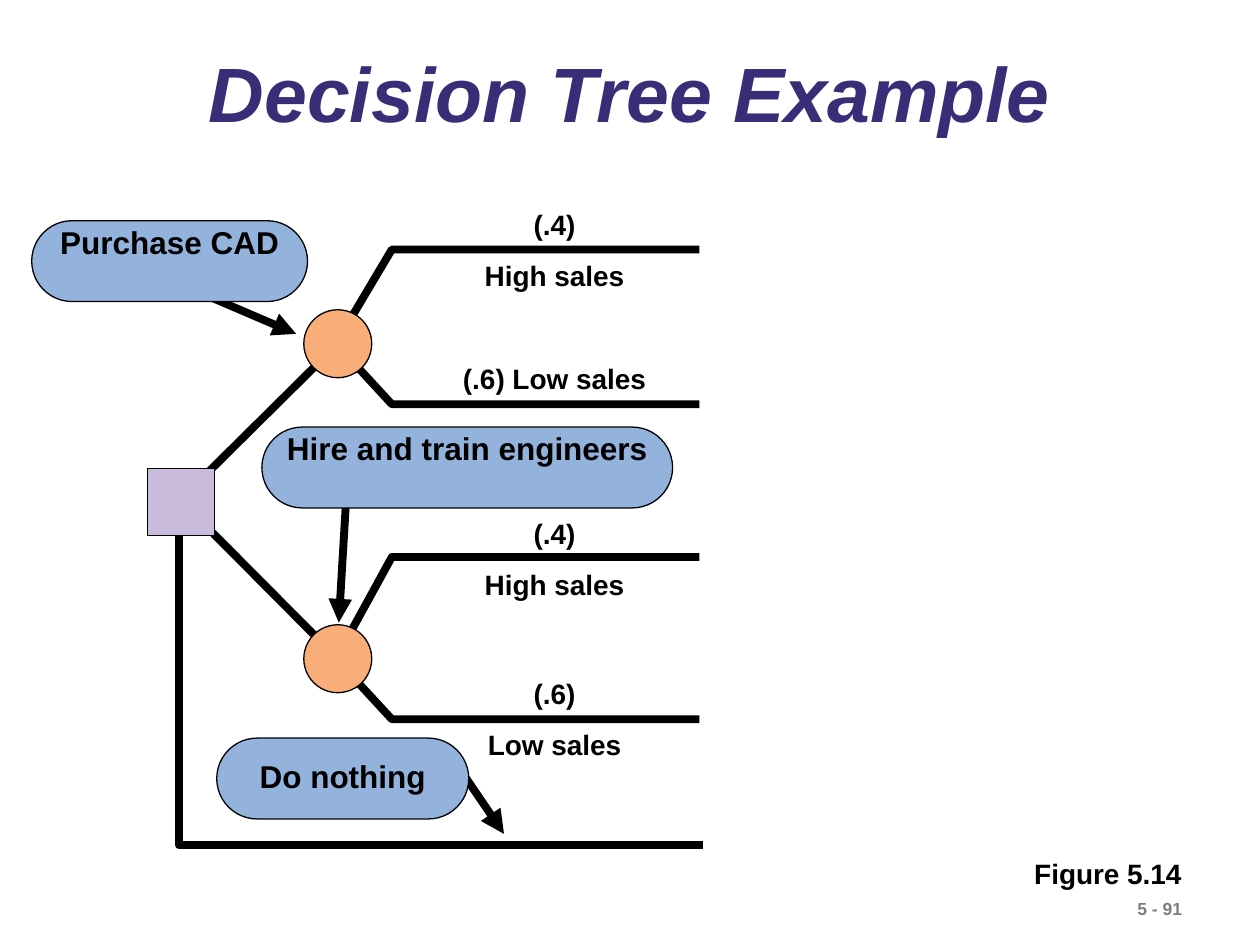
"""Build the decision tree example slide."""
from dataclasses import dataclass

import lxml.etree
import pptx
import pptx.dml.color
import pptx.enum.shapes
import pptx.enum.text
import pptx.oxml.ns
import pptx.util

Cm = pptx.util.Cm
Pt = pptx.util.Pt
Align = pptx.enum.text.PP_ALIGN
Anchor = pptx.enum.text.MSO_ANCHOR
Preset = pptx.enum.shapes.MSO_SHAPE
Point = tuple[float, float]


@dataclass(frozen=True)
class Theme:
    font: str = "Arial"
    black: str = "000000"
    title: str = "3A2C76"
    muted: str = "7F7F7F"
    chance: str = "F9AD78"
    decision: str = "C9BBDB"
    callout: str = "93B3DD"
    title_size: float = 44
    callout_size: float = 18
    label_size: float = 16
    page_size: float = 10
    branch_width: float = 4.5
    outline_width: float = 0.75


@dataclass(frozen=True)
class Box:
    left: float
    top: float
    width: float
    height: float

    def lengths(self) -> tuple[int, ...]:
        return tuple(Cm(value) for value in (self.left, self.top, self.width, self.height))


@dataclass(frozen=True)
class Outcome:
    start_y: float
    end_y: float
    label_top: float
    lines: tuple[str, ...]


@dataclass(frozen=True)
class Callout:
    text: str
    left: float
    top: float
    width: float
    anchor: Anchor
    arrow_start: Point
    arrow_end: Point


THEME = Theme()
ROOT = (3.63, 10.08)
CHANCE_SIZE = 1.37
FORK_X, BEND_X, END_X = 6.83, 7.9, 14.1
LABEL_CENTER, LABEL_WIDTH = 11.18, 4.6
CALLOUT_HEIGHT = 1.63

OUTCOMES = (
    Outcome(13.34, 14.5, 13.18, ("(.6)", "Low sales")),
    Outcome(13.18, 11.23, 9.96, ("(.4)", "High sales")),
    Outcome(6.99, 8.15, 6.83, ("(.6) Low sales",)),
    Outcome(6.83, 5.03, 3.73, ("(.4)", "High sales")),
)
CHANCE_CENTERS = ((6.81, 6.93), (6.81, 13.28))
CALLOUTS = (
    Callout("Purchase CAD", 0.64, 4.45, 5.56, Anchor.TOP, (4.01, 5.89), (5.97, 6.73)),
    Callout("Hire and train engineers", 5.28, 8.61, 8.28, Anchor.TOP, (6.99, 9.86), (6.83, 12.55)),
    Callout("Do nothing", 4.37, 14.88, 5.08, Anchor.MIDDLE, (9.35, 15.62), (10.16, 16.81)),
)


def color(value: str) -> pptx.dml.color.RGBColor:
    return pptx.dml.color.RGBColor.from_string(value)


def style_line(line, width: float) -> None:
    line.color.rgb = color(THEME.black)
    line.width = Pt(width)


def add_text(slide, box: Box, lines: tuple[str, ...], size: float, *,
             ink: str = THEME.black, align: Align = Align.CENTER,
             anchor: Anchor = Anchor.TOP, spacing: float = 1.0, italic: bool = False) -> None:
    frame = slide.shapes.add_textbox(*box.lengths()).text_frame
    frame.word_wrap = True
    frame.vertical_anchor = anchor
    frame.text = "\n".join(lines)
    for paragraph in frame.paragraphs:
        paragraph.alignment = align
        paragraph.line_spacing = spacing
        font = paragraph.font
        font.name, font.size = THEME.font, Pt(size)
        font.bold, font.italic = True, italic
        font.color.rgb = color(ink)


def add_node(slide, preset: Preset, box: Box, fill: str):
    shape = slide.shapes.add_shape(preset, *box.lengths())
    shape.shadow.inherit = False
    shape.fill.solid()
    shape.fill.fore_color.rgb = color(fill)
    style_line(shape.line, THEME.outline_width)
    return shape


def add_branch(slide, points: tuple[Point, ...]) -> None:
    start, *rest = [(Cm(x), Cm(y)) for x, y in points]
    builder = slide.shapes.build_freeform(*start)
    builder.add_line_segments(rest, close=False)
    branch = builder.convert_to_shape()
    branch.shadow.inherit = False
    branch.fill.background()
    style_line(branch.line, THEME.branch_width)


def add_line(slide, start: Point, end: Point, arrow: bool = False) -> None:
    connector = slide.shapes.add_connector(
        pptx.enum.shapes.MSO_CONNECTOR.STRAIGHT, *(Cm(value) for value in start + end))
    style_line(connector.line, THEME.branch_width)
    qn = pptx.oxml.ns.qn
    properties = connector.element.spPr
    if arrow:
        lxml.etree.SubElement(properties.find(qn("a:ln")), qn("a:tailEnd"), type="triangle")
    lxml.etree.SubElement(properties, qn("a:effectLst"))


def add_outcome(slide, outcome: Outcome) -> None:
    add_branch(slide, ((FORK_X, outcome.start_y), (BEND_X, outcome.end_y), (END_X, outcome.end_y)))
    box = Box(LABEL_CENTER - LABEL_WIDTH / 2, outcome.label_top,
              LABEL_WIDTH, 0.25 + 1.02 * len(outcome.lines))
    add_text(slide, box, outcome.lines, THEME.label_size, spacing=1.5)


def add_chance(slide, center: Point) -> None:
    add_line(slide, ROOT, center)
    left, top = (value - CHANCE_SIZE / 2 for value in center)
    add_node(slide, Preset.OVAL, Box(left, top, CHANCE_SIZE, CHANCE_SIZE), THEME.chance)


def add_callout(slide, callout: Callout) -> None:
    add_line(slide, callout.arrow_start, callout.arrow_end, arrow=True)
    box = Box(callout.left, callout.top, callout.width, CALLOUT_HEIGHT)
    pill = add_node(slide, Preset.ROUNDED_RECTANGLE, box, THEME.callout)
    pill.adjustments[0] = 0.5
    add_text(slide, box, (callout.text,), THEME.callout_size, anchor=callout.anchor, spacing=0.9)


def main() -> None:
    deck = pptx.Presentation()
    deck.slide_width, deck.slide_height = Cm(25.4), Cm(19.05)
    slide = deck.slides.add_slide(deck.slide_layouts[6])
    add_text(slide, Box(22.68, 17.98, 2.72, 0.69), ("5 - 91",), THEME.page_size,
             ink=THEME.muted, align=Align.LEFT)
    for outcome in OUTCOMES:
        add_outcome(slide, outcome)
    add_branch(slide, ((3.61, 10.16), (3.61, 17.04), (14.17, 17.04)))
    add_text(slide, Box(1.9, 0.66, 21.6, 2.62), ("Decision Tree Example",), THEME.title_size,
             ink=THEME.title, anchor=Anchor.MIDDLE, spacing=0.9, italic=True)
    for center in CHANCE_CENTERS:
        add_chance(slide, center)
    for callout in CALLOUTS:
        add_callout(slide, callout)
    add_node(slide, Preset.RECTANGLE, Box(2.97, 9.45, 1.35, 1.35), THEME.decision)
    add_text(slide, Box(20.6, 17.15, 3.6, 0.94), ("Figure 5.14",), THEME.label_size,
             align=Align.LEFT)
    deck.save("out.pptx")


if __name__ == "__main__":
    main()
